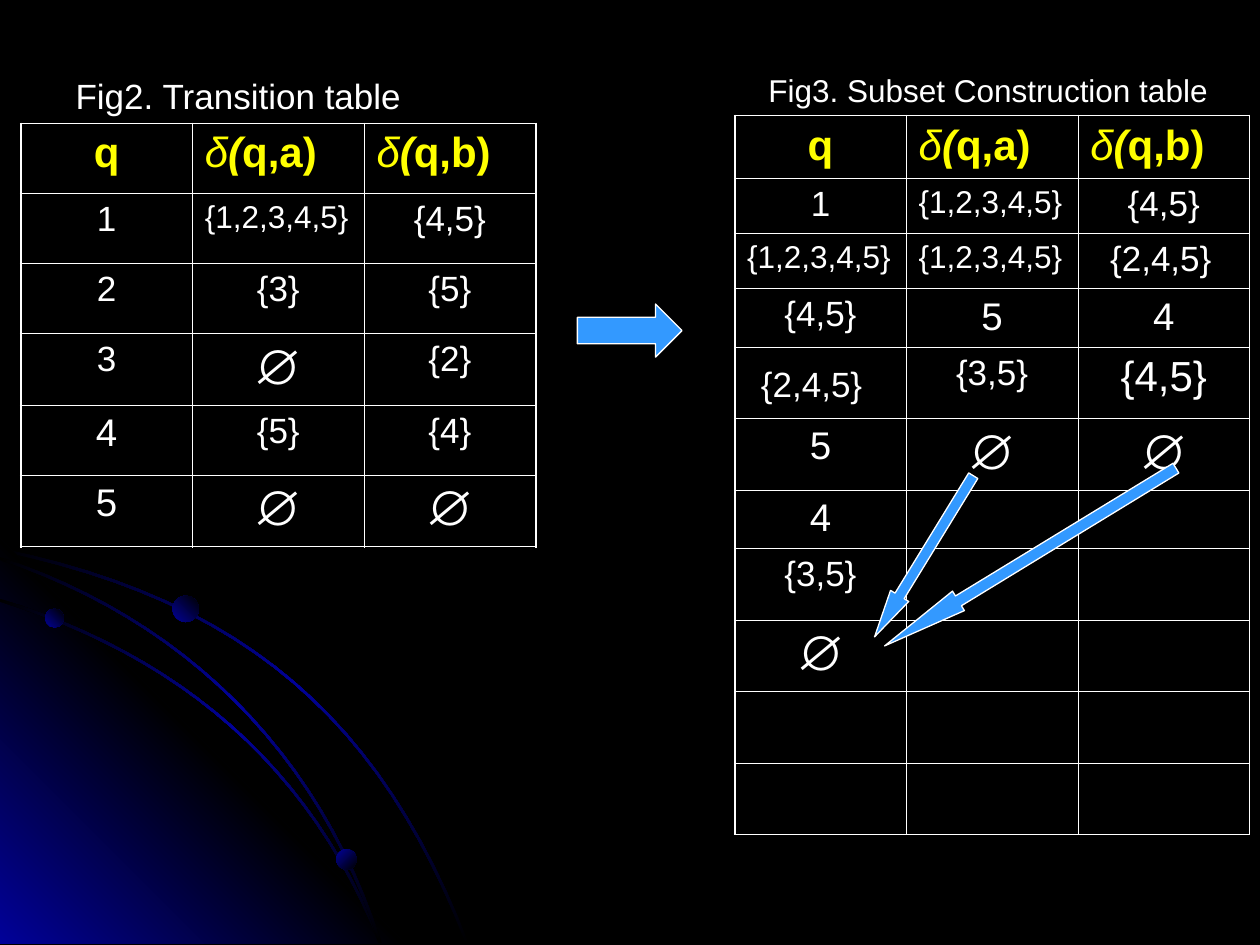
"""Build the slide that turns a transition table into a subset construction table."""
from math import comb

from lxml.etree import SubElement
from pptx import Presentation
from pptx.dml.color import RGBColor
from pptx.enum.shapes import MSO_SHAPE
from pptx.enum.text import MSO_ANCHOR, MSO_AUTO_SIZE, PP_ALIGN
from pptx.oxml import parse_xml
from pptx.oxml.ns import nsdecls, qn
from pptx.util import Cm, Pt

COLORS = {"back": "000000", "text": "FFFFFF", "head": "FFFF00",
          "arrow": "3399FF", "glow": "010199"}
STREAK = ["back", "glow", "back"]
CORNER = ["glow", "back", "glow"]
BALL = ["glow", "back"]
SIZES = {"{1,2,3,4,5}": 18, "∅": 28, "4": 22, "5": 22}
HEAD = ["q", "δ(q,a)", "δ(q,b)"]
TRANSITIONS = [
    HEAD,
    ["1", "{1,2,3,4,5}", "{4,5}"],
    ["2", "{3}", "{5}"],
    ["3", "∅", "{2}"],
    ["4", "{5}", "{4}"],
    ["5", "∅", "∅"],
]
SUBSETS = [
    HEAD,
    ["1", "{1,2,3,4,5}", "{4,5}"],
    ["{1,2,3,4,5}", "{1,2,3,4,5}",
     ("{2,4,5}", {"left": 0.65, "align": PP_ALIGN.LEFT})],
    ["{4,5}", "5", "4"],
    [("{2,4,5}", {"left": 0.53, "top": 0.38, "align": PP_ALIGN.LEFT}),
     "{3,5}", ("{4,5}", {"size": 24})],
    ["5", "∅", "∅"],
    ["4", "", ""],
    ["{3,5}", "", ""],
    ["∅", "", ""],
    ["", "", ""],
    ["", "", ""],
]
ORBITS = {
    "outer": [(0, 11.05), (4.98, 12.09), (7.7, 14.53), (9.45, 19.02)],
    "inner": [(0, 12.07), (3.63, 13.21), (6.27, 15.42), (7.7, 19.02)],
    "middle": [(0, 11.23), (3.66, 12.45), (6.45, 15.11), (7.7, 19.02)],
}
PLANETS = [(0.91, 12.27, 0.38, 315), (6.78, 17.12, 0.41, 45), (3.48, 12.01, 0.53, 315)]


def bezier(controls, t):
    """Return the point at t on the Bezier curve of the control points."""
    n = len(controls) - 1
    weights = [comb(n, k) * t ** k * (1 - t) ** (n - k) for k in range(n + 1)]
    return tuple(sum(w * c[axis] for w, c in zip(weights, controls)) for axis in (0, 1))


class Deck:
    """Hold the style and the current slide."""

    def __init__(self, prs, font="Arial"):
        self.font = font
        self.s = prs.slides.add_slide(prs.slide_layouts[1])
        title = self.s.shapes.title.element
        title.getparent().remove(title)
        self.paint(self.s.background.fill, "back")

    def paint(self, fill, color):
        """Fill with a solid palette colour."""
        fill.solid()
        fill.fore_color.rgb = RGBColor.from_string(COLORS[color])

    def run(self, p, text, color="text", **fmt):
        """Add a formatted run to a paragraph."""
        r = p.add_run()
        r.text = text
        for name, value in {"name": self.font, **fmt}.items():
            setattr(r.font, name, value)
        r.font.color.rgb = RGBColor.from_string(COLORS[color])

    def gradient(self, sp, colors, angle):
        """Give a shape evenly spaced gradient stops and no outline."""
        sp.shadow.inherit = False
        sp.line.fill.background()
        sp.fill.gradient()
        grad = sp.element.spPr.find(qn("a:gradFill"))
        stops = grad.find(qn("a:gsLst"))
        for stop in list(stops):
            stops.remove(stop)
        for i, color in enumerate(colors):
            gs = SubElement(stops, qn("a:gs"), pos=str(100000 * i // (len(colors) - 1)))
            SubElement(gs, qn("a:srgbClr"), val=COLORS[color])
        grad.find(qn("a:lin")).set("ang", str(angle * 60000))

    def orbit(self, controls, width=0.06, steps=24):
        """Draw a thin band whose upper edge follows a Bezier curve."""
        ts = [i / steps for i in range(steps + 1)]
        upper = [bezier(controls, t) for t in ts]
        lower = [(x - width * t, y + width * (1 - t)) for t, (x, y) in zip(ts, upper)]
        start, *rest = [(Cm(x), Cm(y)) for x, y in upper + lower[::-1]]
        fb = self.s.shapes.build_freeform(*start)
        fb.add_line_segments(rest, close=True)
        self.gradient(fb.convert_to_shape(), STREAK, 45)

    def shaded(self, kind, x, y, w, h, colors, angle):
        """Draw a preset shape with a gradient."""
        sp = self.s.shapes.add_shape(kind, Cm(x), Cm(y), Cm(w), Cm(h))
        self.gradient(sp, colors, angle)

    def arrow(self, kind, x, y, w, h, head, rotation=0):
        """Draw a block arrow whose head length is given by its adjustment."""
        sp = self.s.shapes.add_shape(kind, Cm(x), Cm(y), Cm(w), Cm(h))
        sp.shadow.inherit = False
        sp.rotation = rotation
        sp.adjustments[0], sp.adjustments[1] = 0.5, head
        self.paint(sp.fill, "arrow")
        self.paint(sp.line.fill, "text")
        sp.line.width = Pt(0.75)

    def body(self, text, x, y, w, h):
        """Place the body placeholder in front and fill it without a bullet."""
        sp = self.s.placeholders[1]
        sp.element.getparent().append(sp.element)
        for name, value in {"left": x, "top": y, "width": w, "height": h}.items():
            setattr(sp, name, Cm(value))
        p = sp.text_frame.paragraphs[0]
        pPr = p._p.get_or_add_pPr()
        pPr.set("marL", "0")
        pPr.set("indent", "0")
        SubElement(pPr, qn("a:buNone"))
        p.space_before = Pt(0)
        self.run(p, text, size=Pt(20))

    def caption(self, text, x, y, w, h):
        """Add a one-line text box."""
        tf = self.s.shapes.add_textbox(Cm(x), Cm(y), Cm(w), Cm(h)).text_frame
        tf.word_wrap = False
        tf.auto_size = MSO_AUTO_SIZE.SHAPE_TO_FIT_TEXT
        self.run(tf.paragraphs[0], text, size=Pt(18))

    def borders(self, cell, **outer):
        """Draw cell borders, heavier on the table's outer edges."""
        tcPr = cell._tc.get_or_add_tcPr()
        for i, side in enumerate("LRTB"):
            width = Pt(1.08 if outer[side] else 0.45)
            tcPr.insert(i, parse_xml(
                f'<a:ln{side} {nsdecls("a")} w="{width}"><a:solidFill>'
                f'<a:srgbClr val="{COLORS["text"]}"/></a:solidFill></a:ln{side}>'))

    def cell(self, cell, content, header):
        """Write one table cell."""
        text, fmt = content if isinstance(content, tuple) else (content, {})
        cell.fill.background()
        layout = {"vertical_anchor": MSO_ANCHOR.TOP, "margin_right": Cm(0.25),
                  "margin_left": Cm(fmt.get("left", 0.25)),
                  "margin_top": Cm(fmt.get("top", 0.13))}
        for name, value in layout.items():
            setattr(cell, name, value)
        p = cell.text_frame.paragraphs[0]
        flush = text.startswith("δ") or text == "{1,2,3,4,5}"
        p.alignment = fmt.get("align", PP_ALIGN.LEFT if flush else PP_ALIGN.CENTER)
        size = Pt(24 if header else fmt.get("size", SIZES.get(text, 20)))
        color = "head" if header else "text"
        if header and flush:
            for letter, bold in zip(text[:2], (False, True)):
                self.run(p, letter, color, size=size, bold=bold, italic=True)
            text = text[2:]
        if text:
            self.run(p, text, color, size=size, bold=header)

    def table(self, rows, x, y, col_width, heights):
        """Add a ruled table with a yellow heading row."""
        n, m = len(rows), len(rows[0])
        tbl = self.s.shapes.add_table(n, m, Cm(x), Cm(y), Cm(col_width * m),
                                      Cm(sum(heights))).table
        tbl.first_row = tbl.horz_banding = False
        for col in tbl.columns:
            col.width = Cm(col_width)
        for i, (row, height) in enumerate(zip(rows, heights)):
            tbl.rows[i].height = Cm(height)
            for j, content in enumerate(row):
                c = tbl.cell(i, j)
                self.cell(c, content, i == 0)
                self.borders(c, L=j == 0, R=j == m - 1, T=i == 0, B=i == n - 1)


def main():
    """Build and save the slide."""
    prs = Presentation()
    prs.slide_width, prs.slide_height = Cm(25.4), Cm(19.05)
    deck = Deck(prs)
    deck.orbit(ORBITS["outer"])
    deck.shaded(MSO_SHAPE.RIGHT_TRIANGLE, 0, 10.85, 8.18, 8.18, CORNER, 315)
    deck.orbit(ORBITS["inner"])
    deck.orbit(ORBITS["middle"])
    for x, y, size, angle in PLANETS:
        deck.shaded(MSO_SHAPE.OVAL, x, y, size, size, BALL, angle)
    deck.body("Fig2. Transition table", 1.27, 1.37, 22.86, 12.57)
    deck.table(TRANSITIONS, 0.42, 2.49, 3.46, [1.41] * 3 + [1.45, 1.41, 1.44])
    deck.table(SUBSETS, 14.81, 2.33, 3.46,
               [1.27, 1.11, 1.11, 1.18, 1.44, 1.44, 1.18] + [1.44] * 4)
    deck.arrow(MSO_SHAPE.DOWN_ARROW, 18.41, 9.31, 0.43, 3.81, 2.25, 31.5)
    deck.arrow(MSO_SHAPE.RIGHT_ARROW, 11.64, 6.13, 2.11, 1.07, 0.5)
    deck.caption("Fig3. Subset Construction table", 15.24, 1.31, 9.37, 1.02)
    deck.arrow(MSO_SHAPE.DOWN_ARROW, 20.54, 7.79, 0.46, 6.88, 3.79, 58.6)
    prs.save("out.pptx")


if __name__ == "__main__":
    main()
